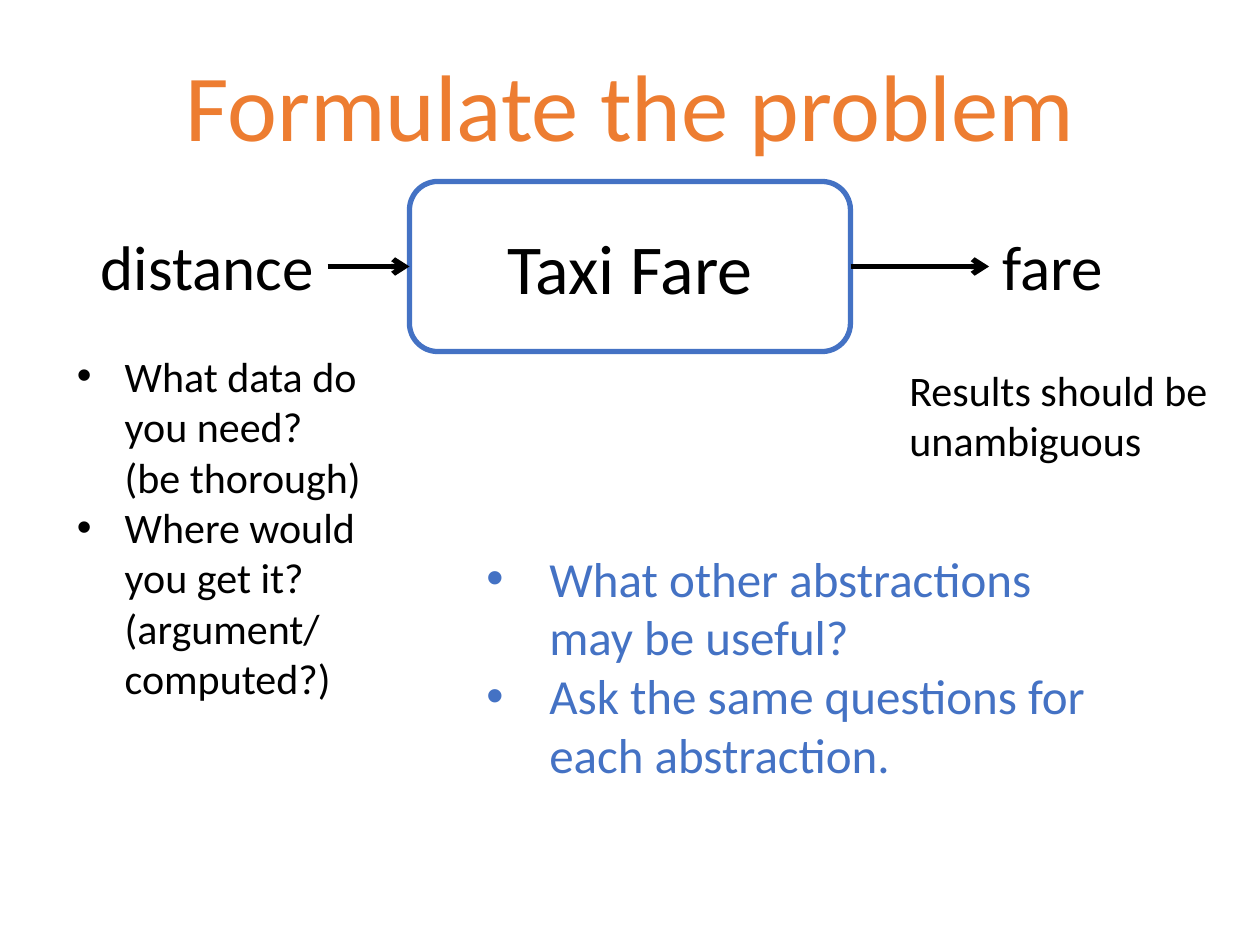
from lxml.etree import SubElement
from pptx import Presentation
from pptx.dml.color import RGBColor
from pptx.enum.shapes import MSO_CONNECTOR, MSO_SHAPE
from pptx.enum.text import MSO_ANCHOR, MSO_AUTO_SIZE, PP_ALIGN
from pptx.oxml.ns import qn
from pptx.util import Inches, Pt

ORANGE = RGBColor(0xED, 0x7D, 0x31)
BLUE = RGBColor(0x44, 0x72, 0xC4)
BLACK = RGBColor(0, 0, 0)
FONT = "Calibri"

TITLE = "Formulate the problem"
PROCESS = "Taxi Fare"
INPUT = ("distance", 0.69, 1.91)
OUTPUT = ("fare", 7.85, 1.01)
RESULT_NOTE = "Results should be unambiguous"
DATA_QUESTIONS = [
    ["What data do you need?", "(be thorough)"],
    ["Where would you get it?", "(argument/", "computed?)"],
]
ABSTRACTION_QUESTIONS = [
    ["What other abstractions may be useful?"],
    ["Ask the same questions for each abstraction."],
]

BOX_LEFT, BOX_TOP, BOX_WIDTH, BOX_HEIGHT = 3.25, 1.44, 3.5, 1.35
LABEL_HEIGHT = 0.71
LABEL_TOP = BOX_TOP + (BOX_HEIGHT - LABEL_HEIGHT) / 2


def place(shape, left, top, width, height):
    shape.left, shape.top = Inches(left), Inches(top)
    shape.width, shape.height = Inches(width), Inches(height)


def add_text(paragraph, lines, size, color):
    for number, line in enumerate(lines):
        if number:
            paragraph.add_line_break()
        run = paragraph.add_run()
        run.text = line
        run.font.name = FONT
        run.font.size = Pt(size)
        run.font.color.rgb = color


def set_indent(paragraph, margin, first_line):
    properties = paragraph._p.get_or_add_pPr()
    properties.set("marL", str(Inches(margin)))
    properties.set("indent", str(Inches(first_line)))
    return properties


def fill_list(placeholder, items, position, size, color, indent):
    place(placeholder, *position)
    frame = placeholder.text_frame
    frame.word_wrap = True
    frame.auto_size = MSO_AUTO_SIZE.NONE
    frame.vertical_anchor = MSO_ANCHOR.TOP
    for number, lines in enumerate(items):
        paragraph = frame.add_paragraph() if number else frame.paragraphs[0]
        paragraph.space_before = Pt(0)
        properties = set_indent(paragraph, indent, -indent)
        SubElement(properties, qn("a:buFont"), typeface="Arial")
        SubElement(properties, qn("a:buChar"), char="•")
        add_text(paragraph, lines, size, color)


def add_label(slide, text, left, width):
    label = slide.shapes.add_textbox(
        Inches(left), Inches(LABEL_TOP), Inches(width), Inches(LABEL_HEIGHT))
    label.text_frame.word_wrap = False
    paragraph = label.text_frame.paragraphs[0]
    paragraph.alignment = PP_ALIGN.CENTER
    add_text(paragraph, [text], 36, BLACK)
    return label


def add_arrow(slide, source, target):
    arrow = slide.shapes.add_connector(MSO_CONNECTOR.STRAIGHT, 0, 0, 0, 0)
    arrow.begin_connect(source, 3)
    arrow.end_connect(target, 1)
    arrow.line.color.rgb = BLACK
    arrow.line.width = Pt(3)
    SubElement(arrow.line._get_or_add_ln(), qn("a:tailEnd"), type="arrow")
    SubElement(arrow._element.spPr, qn("a:effectLst"))


def main():
    presentation = Presentation()
    presentation.slide_width, presentation.slide_height = Inches(10), Inches(7.5)
    slide = presentation.slides.add_slide(presentation.slide_layouts[3])

    title = slide.shapes.title
    place(title, 0.69, 0.4, 8.62, 0.96)
    title.text_frame.auto_size = MSO_AUTO_SIZE.NONE
    title.text_frame.vertical_anchor = MSO_ANCHOR.MIDDLE
    heading = title.text_frame.paragraphs[0]
    heading.alignment = PP_ALIGN.CENTER
    heading.line_spacing = 0.9
    add_text(heading, [TITLE], 54, ORANGE)

    box = slide.shapes.add_shape(
        MSO_SHAPE.ROUNDED_RECTANGLE, Inches(BOX_LEFT), Inches(BOX_TOP),
        Inches(BOX_WIDTH), Inches(BOX_HEIGHT))
    box.shadow.inherit = False
    box.fill.background()
    box.line.color.rgb = BLUE
    box.line.width = Pt(3)
    box.text_frame.vertical_anchor = MSO_ANCHOR.MIDDLE
    process = box.text_frame.paragraphs[0]
    process.alignment = PP_ALIGN.CENTER
    add_text(process, [PROCESS], 40, BLACK)

    source = add_label(slide, *INPUT)
    result = add_label(slide, *OUTPUT)
    add_arrow(slide, source, box)
    add_arrow(slide, box, result)

    note = slide.shapes.add_textbox(
        Inches(6.93), Inches(2.84), Inches(3.07), Inches(0.9))
    note.text_frame.word_wrap = True
    note_paragraph = note.text_frame.paragraphs[0]
    set_indent(note_paragraph, 0.19, 0)
    add_text(note_paragraph, [RESULT_NOTE], 24, BLACK)

    fill_list(slide.placeholders[1], DATA_QUESTIONS,
              (0.51, 2.73, 2.49, 2.93), 24, BLACK, 0.38)
    fill_list(slide.placeholders[2], ABSTRACTION_QUESTIONS,
              (3.76, 4.3, 5, 2.46), 28, BLUE, 0.5)

    presentation.save("out.pptx")


if __name__ == "__main__":
    main()
